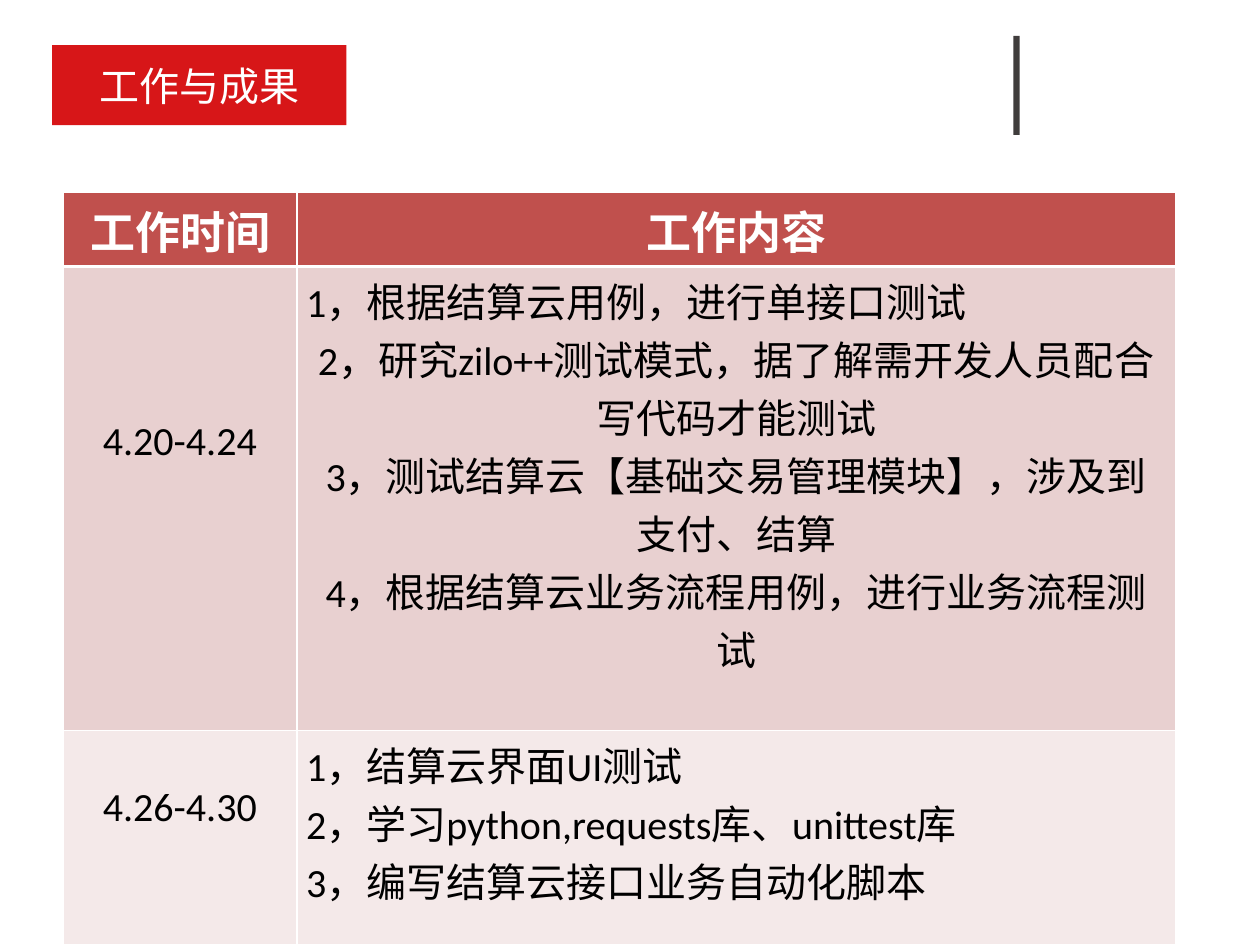
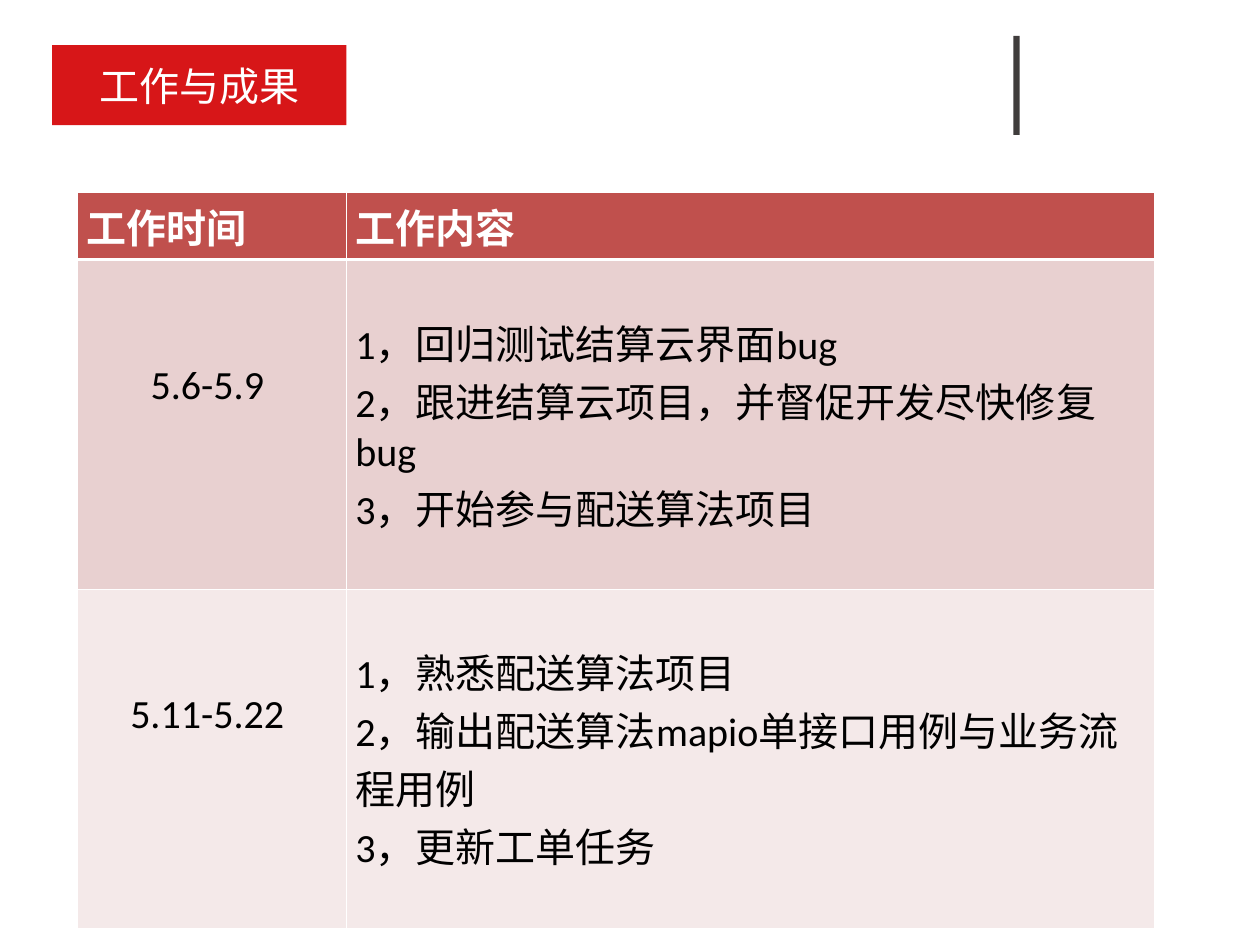
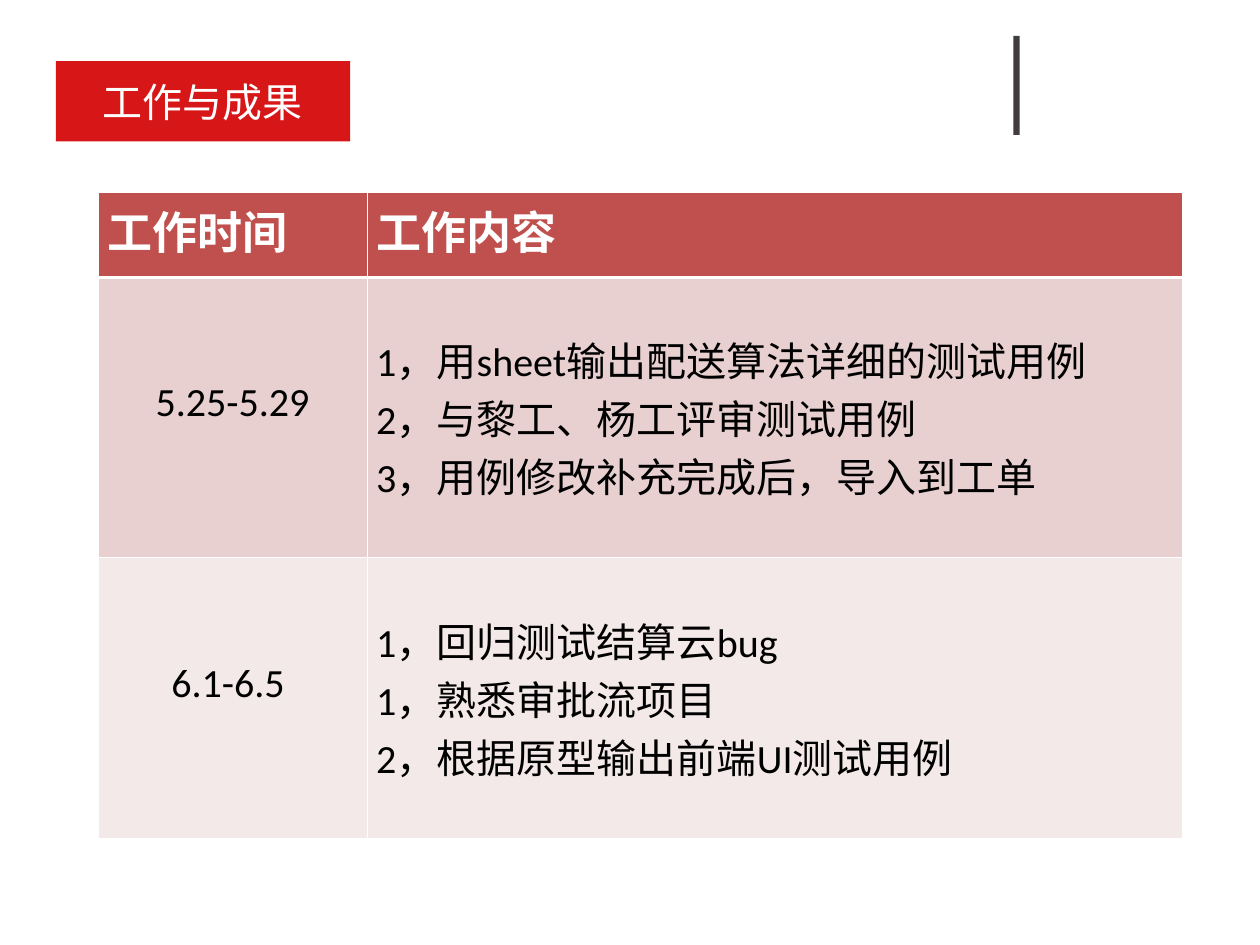
from dataclasses import dataclass

from lxml import etree
from pptx import Presentation
from pptx.dml.color import RGBColor
from pptx.enum.shapes import MSO_SHAPE
from pptx.enum.text import MSO_ANCHOR, MSO_AUTO_SIZE, PP_ALIGN
from pptx.oxml.ns import qn
from pptx.util import Inches, Pt

LEFT, CENTER = PP_ALIGN.LEFT, PP_ALIGN.CENTER
RECTANGLE = MSO_SHAPE.RECTANGLE
MIDDLE = MSO_ANCHOR.MIDDLE
NO_AUTOFIT = MSO_AUTO_SIZE.NONE
TITLE_ONLY = 5

# Shared look
FONT = "Calibri"
BODY_SIZE = 32
WHITE, BLACK = "FFFFFF", "000000"
TITLE_RED, BAR_GREY = "D71618", "403D3C"
HEADER_FILL = "C0504D"
BAND_FILLS = ("E8D0D0", "F4E9E9")
TITLE = "工作与成果"
HEADINGS = ("工作时间", "工作内容")
TITLE_SIZE = (3.27, 0.89)
TABLE_TOP = 2.14
CELL_MARGIN = 0.05
LINE_HEIGHT = 0.54  # one line of body text, in inches


@dataclass(frozen=True)
class Period:
    """One table row: the dates, the tasks, and the lines left free above each."""
    dates: str
    tasks: tuple[str, ...]
    height: float
    dates_drop: int = 2
    tasks_drop: int = 1
    later_tasks_align: PP_ALIGN = LEFT


@dataclass(frozen=True)
class Report:
    left: float
    columns: tuple[float, float]
    header_height: float
    header_size: int
    periods: tuple[Period, ...]
    header_align: PP_ALIGN = LEFT
    title_at: tuple[float, float] = (0.58, 0.5)


REPORTS = (
    Report(0.7, (2.6, 9.76), 0.81, 36, (
        Period("4.20-4.24", (
            "1，根据结算云用例，进行单接口测试",
            "2，研究zilo++测试模式，据了解需开发人员配合写代码才能测试",
            "3，测试结算云【基础交易管理模块】，涉及到支付、结算",
            "4，根据结算云业务流程用例，进行业务流程测试",
        ), 5.15, dates_drop=3, tasks_drop=0, later_tasks_align=CENTER),
        Period("4.26-4.30", (
            "1，结算云界面UI测试",
            "2，学习python,requests库、unittest库",
            "3，编写结算云接口业务自动化脚本",
        ), 2.38, dates_drop=1, tasks_drop=0),
    ), header_align=CENTER),
    Report(0.86, (2.99, 8.98), 0.74, 32, (
        Period("5.6-5.9 ", (
            "1，回归测试结算云界面bug",
            "2，跟进结算云项目，并督促开发尽快修复bug",
            "3，开始参与配送算法项目",
        ), 3.66),
        Period("5.11-5.22 ", (
            "1，熟悉配送算法项目",
            "2，输出配送算法mapio单接口用例与业务流程用例",
            "3，更新工单任务",
        ), 3.77),
    )),
    Report(1.09, (2.99, 9.06), 0.94, 36, (
        Period("5.25-5.29", (
            "1，用sheet输出配送算法详细的测试用例",
            "2，与黎工、杨工评审测试用例",
            "3，用例修改补充完成后，导入到工单",
        ), 3.12),
        Period("6.1-6.5 ", (
            "1，回归测试结算云bug",
            "1，熟悉审批流项目",
            "2，根据原型输出前端UI测试用例",
        ), 3.12),
    ), title_at=(0.62, 0.68)),
)


def set_fill(target, color: str) -> None:
    target.fill.solid()
    target.fill.fore_color.rgb = RGBColor.from_string(color)


def format_paragraph(paragraph, size: int, color: str, align, bold: bool = False) -> None:
    paragraph.alignment = align
    font = paragraph.font
    font.name, font.size, font.bold = FONT, Pt(size), bold
    font.color.rgb = RGBColor.from_string(color)


def set_borders(cell, top: int, bottom: int) -> None:
    """Draw white borders, inserted ahead of the cell's fill."""
    properties = cell._tc.get_or_add_tcPr()
    widths = (("a:lnL", 1), ("a:lnR", 1), ("a:lnT", top), ("a:lnB", bottom))
    for index, (tag, width) in enumerate(widths):
        line = etree.Element(qn(tag), w=str(Pt(width)))
        fill = etree.SubElement(line, qn("a:solidFill"))
        etree.SubElement(fill, qn("a:srgbClr"), val=WHITE)
        properties.insert(index, line)


def write_cell(cell, lines: tuple[str, ...], size: int, color: str, aligns: list,
               bold: bool = False, drop: int = 0) -> None:
    cell.margin_top = Inches(CELL_MARGIN + drop * LINE_HEIGHT)
    cell.text = "\n".join(lines)
    for paragraph, align in zip(cell.text_frame.paragraphs, aligns):
        format_paragraph(paragraph, size, color, align, bold)


def add_bar(slide) -> None:
    """Put the vertical bar on the layout, so that every slide shows it."""
    bar = slide.shapes.add_shape(
        RECTANGLE, Inches(11.26), Inches(0.4), Inches(0.07), Inches(1.1))
    bar.shadow.inherit = False
    set_fill(bar, BAR_GREY)
    bar.line.fill.background()
    slide.slide_layout.shapes.element.append(bar.element)


def add_title(slide, position: tuple[float, float]) -> None:
    title = slide.shapes.title
    title.left, title.top = map(Inches, position)
    title.width, title.height = map(Inches, TITLE_SIZE)
    set_fill(title, TITLE_RED)
    frame = title.text_frame
    frame.text = TITLE
    frame.auto_size = NO_AUTOFIT
    frame.vertical_anchor = MIDDLE
    format_paragraph(frame.paragraphs[0], BODY_SIZE, WHITE, CENTER)


def add_report_table(slide, report: Report) -> None:
    heights = [report.header_height, *(period.height for period in report.periods)]
    table = slide.shapes.add_table(
        len(heights), len(HEADINGS), Inches(report.left), Inches(TABLE_TOP),
        Inches(sum(report.columns)), Inches(sum(heights))).table
    table.horz_banding = False
    for column, width in zip(table.columns, report.columns):
        column.width = Inches(width)

    # Heights, fills and borders
    fills = (HEADER_FILL, *BAND_FILLS)
    for index, (row, height, fill) in enumerate(zip(table.rows, heights, fills)):
        row.height = Inches(height)
        for cell in row.cells:
            set_fill(cell, fill)
            set_borders(cell, top=3 if index == 1 else 1, bottom=3 if index == 0 else 1)

    # Text
    for column, heading in enumerate(HEADINGS):
        write_cell(table.cell(0, column), (heading,), report.header_size, WHITE,
                   [report.header_align], bold=True)
    for row, period in enumerate(report.periods, start=1):
        write_cell(table.cell(row, 0), (period.dates,), BODY_SIZE, BLACK, [CENTER],
                   drop=period.dates_drop)
        aligns = [LEFT] + [period.later_tasks_align] * (len(period.tasks) - 1)
        write_cell(table.cell(row, 1), period.tasks, BODY_SIZE, BLACK, aligns,
                   drop=period.tasks_drop)


def main() -> None:
    presentation = Presentation()
    presentation.slide_width, presentation.slide_height = Inches(14), Inches(10.5)
    layout = presentation.slide_layouts[TITLE_ONLY]
    for number, report in enumerate(REPORTS):
        slide = presentation.slides.add_slide(layout)
        if number == 0:
            add_bar(slide)
        add_title(slide, report.title_at)
        add_report_table(slide, report)
    presentation.save("out.pptx")


if __name__ == "__main__":
    main()
